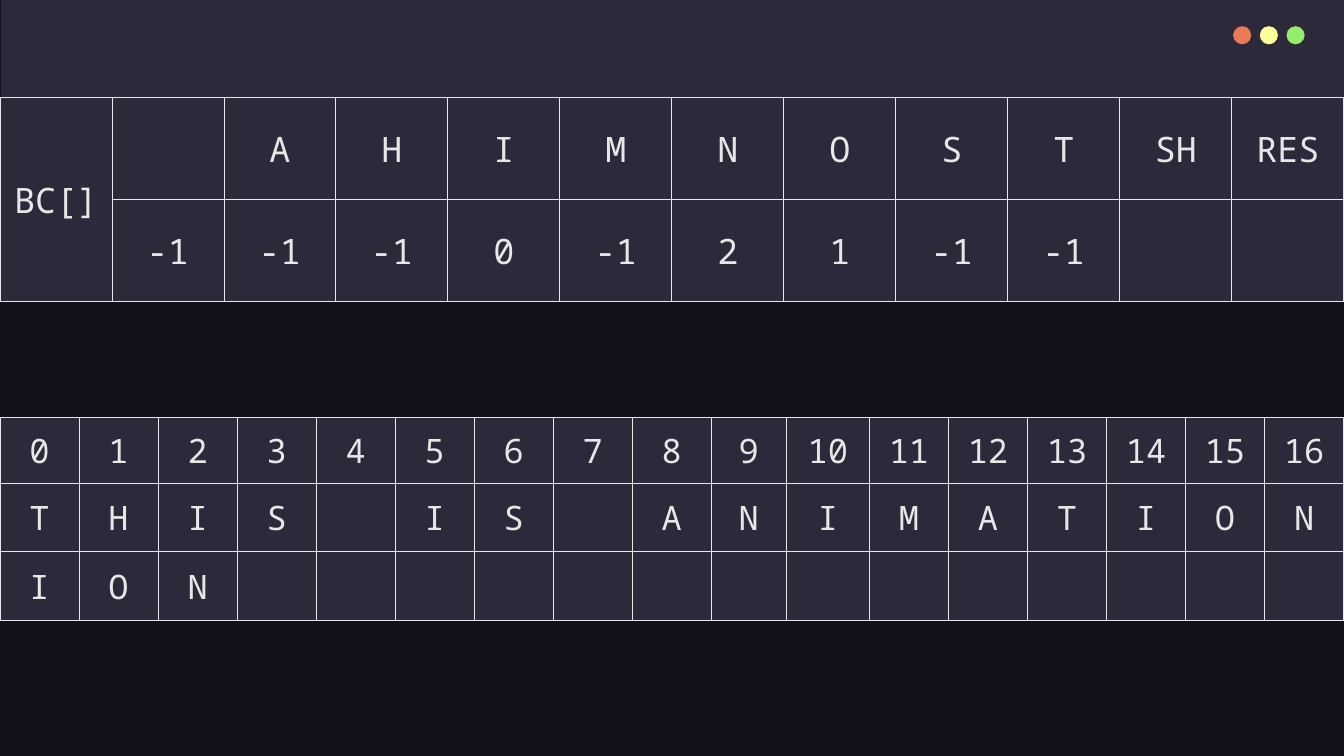
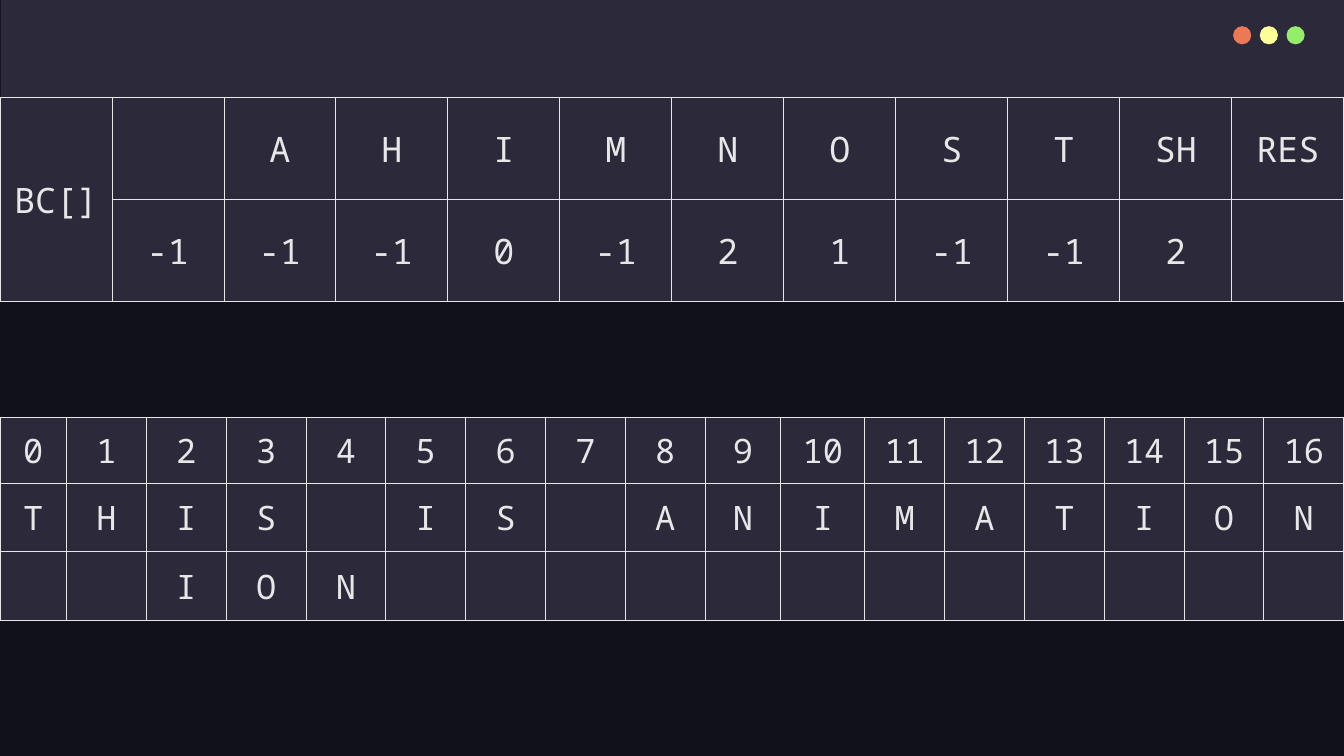
from dataclasses import dataclass

from lxml import etree
from pptx import Presentation
from pptx import util as u
from pptx.dml.color import RGBColor
from pptx.enum import shapes, text
from pptx.oxml import ns

BACKDROP = RGBColor(0x10, 0x11, 0x1A)
PANEL = RGBColor(0x2C, 0x29, 0x3A)
INK = RGBColor(0xE7, 0xE7, 0xE7)
RED_DOT = RGBColor(0xEC, 0x79, 0x55)
YELLOW_DOT = RGBColor(0xFF, 0xFF, 0x99)
GREEN_DOT = RGBColor(0x94, 0xEE, 0x6B)

FONT = "Noto Sans Mono"
WIDTH, HEIGHT = 13.33, 7.5
BLANK_LAYOUT = 6
BORDER = u.Pt(0.75)

HAYSTACK = "THIS IS ANIMATION"
NEEDLE = "ION"


@dataclass(frozen=True)
class Step:
    offset: int
    shift: str
    first_column: float


@dataclass(frozen=True)
class Grid:
    top: float
    columns: list[float]
    rows: list[float]
    size: int
    words: list[list[str]]


STEPS = [Step(0, "", WIDTH / len(HAYSTACK)), Step(len(NEEDLE) - 1, "2", 0.66)]


def trace_grid(step: Step) -> Grid:
    count = len(HAYSTACK)
    regular = (WIDTH - step.first_column) / (count - 1)
    columns = [step.first_column] + [regular] * (count - 1)
    columns[9] -= 0.04
    columns[10] += 0.04
    aligned = (" " * step.offset + NEEDLE).ljust(count)
    words = [[str(i) for i in range(count)], list(HAYSTACK), list(aligned)]
    return Grid(4.14, columns, [0.65, 0.68, 0.68], 24, words)


def bad_character_grid(step: Step) -> Grid:
    alphabet = sorted(set(HAYSTACK))
    last_seen = [str(NEEDLE.rfind(letter)) for letter in alphabet]
    words = [["BC[]", *alphabet, "SH", "RES"], ["", *last_seen, step.shift, ""]]
    count = len(words[0])
    return Grid(0.97, [WIDTH / count] * count, [1.01, 1.01], 25, words)


def add_borders(cell) -> None:
    properties = cell._tc.get_or_add_tcPr()
    for side in ("a:lnL", "a:lnR", "a:lnT", "a:lnB"):
        line = etree.SubElement(properties, ns.qn(side), w=str(BORDER))
        fill = etree.SubElement(line, ns.qn("a:solidFill"))
        etree.SubElement(fill, ns.qn("a:srgbClr"), val=str(INK))


def style_cell(cell, word: str, size: int) -> None:
    add_borders(cell)
    cell.fill.solid()
    cell.fill.fore_color.rgb = PANEL
    cell.vertical_anchor = text.MSO_ANCHOR.MIDDLE
    cell.margin_left = cell.margin_right = u.Inches(0.13)
    cell.margin_top = cell.margin_bottom = u.Inches(0.1)
    paragraph = cell.text_frame.paragraphs[0]
    paragraph.alignment = text.PP_ALIGN.CENTER
    if word.strip():
        run = paragraph.add_run()
        run.text = word
        run.font.name = FONT
        run.font.size = u.Pt(size)
        run.font.color.rgb = INK


def draw_grid(slide, grid: Grid):
    table = slide.shapes.add_table(
        len(grid.rows), len(grid.columns), 0, u.Inches(grid.top),
        u.Inches(sum(grid.columns)), u.Inches(sum(grid.rows)),
    ).table
    table.first_row = table.horz_banding = False
    for column, width in zip(table.columns, grid.columns):
        column.width = u.Inches(width)
    for row, height, words in zip(table.rows, grid.rows, grid.words):
        row.height = u.Inches(height)
        for cell, word in zip(row.cells, words):
            style_cell(cell, word, grid.size)
    return table


def draw_plain(slide, preset, left: float, top: float, width: float, height: float, color: RGBColor):
    shape = slide.shapes.add_shape(preset, *map(u.Inches, (left, top, width, height)))
    shape.shadow.inherit = False
    shape.fill.solid()
    shape.fill.fore_color.rgb = color
    shape.line.fill.background()
    return shape


def furnish_layout(layout, slide) -> None:
    for placeholder in list(layout.placeholders):
        layout.shapes.element.remove(placeholder.element)
    window = [draw_plain(slide, shapes.MSO_SHAPE.RECTANGLE, 0.01, 0, WIDTH, 1.69, PANEL)]
    for i, color in enumerate((RED_DOT, YELLOW_DOT, GREEN_DOT)):
        left = 12.23 + 0.265 * i
        window.append(draw_plain(slide, shapes.MSO_SHAPE.OVAL, left, 0.26, 0.18, 0.18, color))
    for part in window:
        layout.shapes.element.append(part.element)


def main() -> None:
    deck = Presentation()
    deck.slide_width, deck.slide_height = u.Inches(WIDTH), u.Inches(HEIGHT)
    backdrop = deck.slide_master.background.fill
    backdrop.solid()
    backdrop.fore_color.rgb = BACKDROP
    layout = deck.slide_layouts[BLANK_LAYOUT]
    slides = [deck.slides.add_slide(layout) for _ in STEPS]
    furnish_layout(layout, slides[0])
    for slide, step in zip(slides, STEPS):
        draw_grid(slide, trace_grid(step))
        table = draw_grid(slide, bad_character_grid(step))
        table.cell(0, 0).merge(table.cell(1, 0))
    deck.save("out.pptx")


if __name__ == "__main__":
    main()
